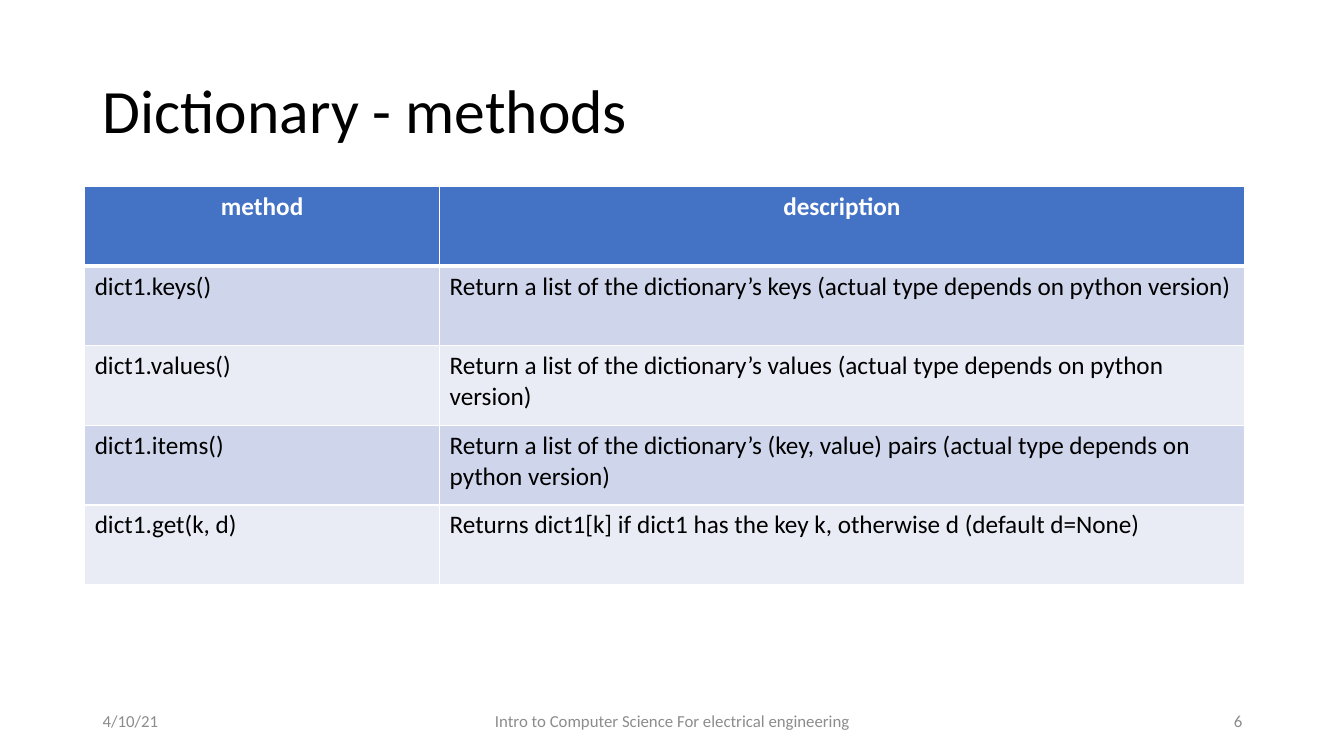
from dataclasses import dataclass

from lxml.etree import SubElement
from pptx import Presentation
from pptx.dml.color import RGBColor as Rgb
from pptx.enum.text import MSO_ANCHOR as Anchor, PP_ALIGN as Align
from pptx.oxml.ns import qn
from pptx.util import Pt

PX = 9144


@dataclass(frozen=True)
class Theme:
    font: str = "Calibri"
    ink: str = "000000"
    gray: str = "8C8C8C"
    white: str = "FFFFFF"
    head: str = "4472C4"
    bands: tuple = ("CFD5EA", "E9EBF5")
    title: int = 44
    body: int = 18
    small: int = 12
    thin: int = 1
    thick: int = 3


class Deck:
    """Draws text and tables on one slide in a shared theme."""

    def __init__(self, wide, high, theme):
        self.theme = theme
        self.show = Presentation()
        self.show.slide_width = wide * PX
        self.show.slide_height = high * PX
        self.slide = self.show.slides.add_slide(self.show.slide_layouts[6])

    def style(self, para, size, color, align=Align.LEFT, bold=False):
        para.alignment = align
        font = para.font
        font.name = self.theme.font
        font.size = Pt(size)
        font.bold = bold
        font.color.rgb = Rgb.from_string(color)

    def text(self, words, box, size, color, align=Align.LEFT, space=1.0):
        frame = self.slide.shapes.add_textbox(*(n * PX for n in box)).text_frame
        frame.word_wrap = True
        frame.vertical_anchor = Anchor.MIDDLE
        para = frame.paragraphs[0]
        para.text = words
        para.line_spacing = space
        self.style(para, size, color, align)

    def edge(self, cell, side, width):
        props = cell._tc.get_or_add_tcPr()
        line = SubElement(props, qn(f"a:ln{side}"), w=str(Pt(width)))
        fill = SubElement(line, qn("a:solidFill"))
        SubElement(fill, qn("a:srgbClr"), val=self.theme.white)

    def cell(self, cell, words, row):
        look = self.theme
        head = row == 0
        cell.text = words
        for side in "LRTB":
            heavy = (row, side) in ((0, "B"), (1, "T"))
            self.edge(cell, side, look.thick if heavy else look.thin)
        cell.fill.solid()
        fill = look.head if head else look.bands[(row - 1) % 2]
        cell.fill.fore_color.rgb = Rgb.from_string(fill)
        self.style(cell.text_frame.paragraphs[0], look.body,
                   look.white if head else look.ink,
                   Align.CENTER if head else Align.LEFT, head)

    def table(self, rows, left, top, cols, high):
        grid = self.slide.shapes.add_table(
            len(rows), len(cols), left * PX, top * PX,
            sum(cols) * PX, len(rows) * high * PX).table
        for col, wide in zip(grid.columns, cols):
            col.width = wide * PX
        for r, row in enumerate(rows):
            for c, words in enumerate(row):
                self.cell(grid.cell(r, c), words, r)

    def save(self):
        self.show.save("out.pptx")


ROWS = [
    ("method", "description"),
    ("dict1.keys()", "Return a list of the dictionary’s keys (actual type depends on python version)"),
    ("dict1.values()", "Return a list of the dictionary’s values (actual type depends on python version)"),
    ("dict1.items()", "Return a list of the dictionary’s (key, value) pairs (actual type depends on python version)"),
    ("dict1.get(k, d)", "Returns dict1[k] if dict1 has the key k, otherwise d (default d=None)"),
]
FOOT = [
    ("4/10/21", 92, 300, Align.LEFT),
    ("Intro to Computer Science For electrical engineering", 442, 450, Align.CENTER),
    ("6", 942, 300, Align.RIGHT),
]


def main():
    theme = Theme()
    deck = Deck(1333, 750, theme)
    deck.text("Dictionary - methods", (92, 40, 1150, 145), theme.title, theme.ink, space=0.9)
    for words, left, wide, align in FOOT:
        deck.text(words, (left, 695, wide, 40), theme.small, theme.gray, align)
    deck.table(ROWS, 84, 185, (352, 798), 79)
    deck.save()


if __name__ == "__main__":
    main()
